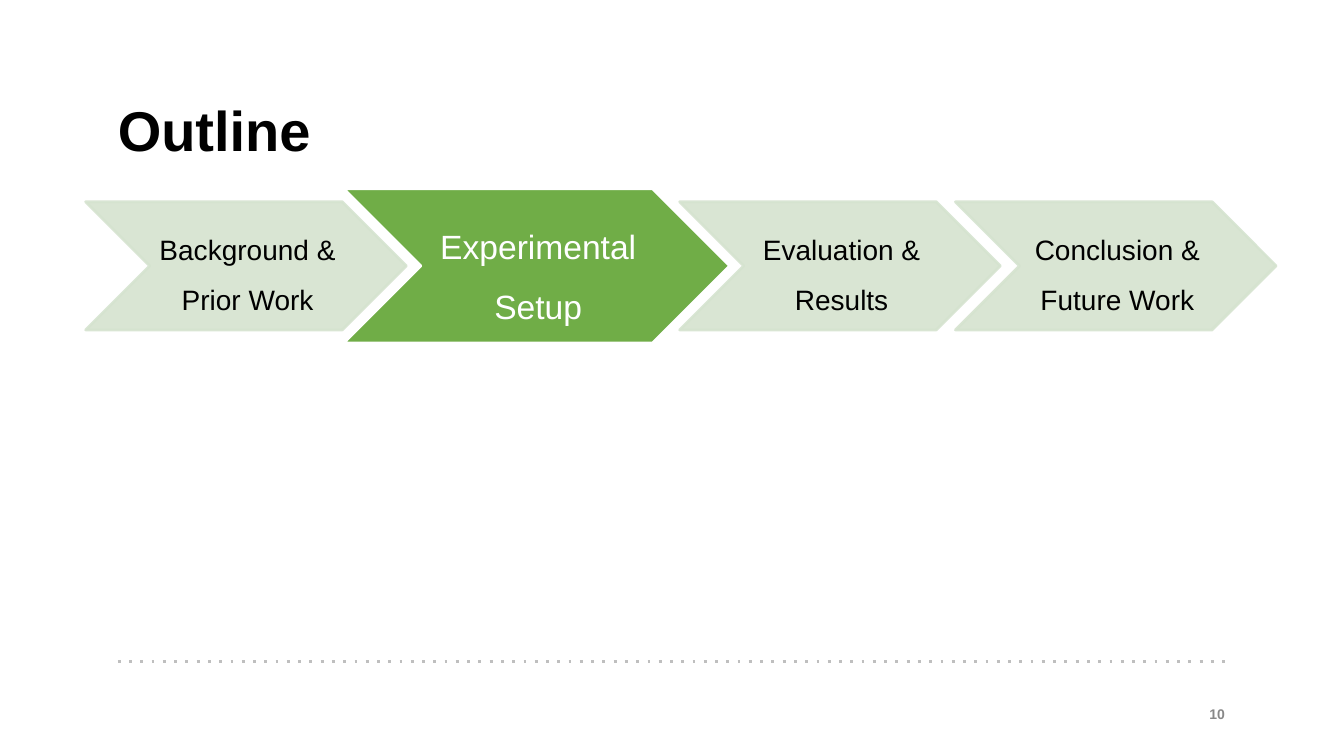
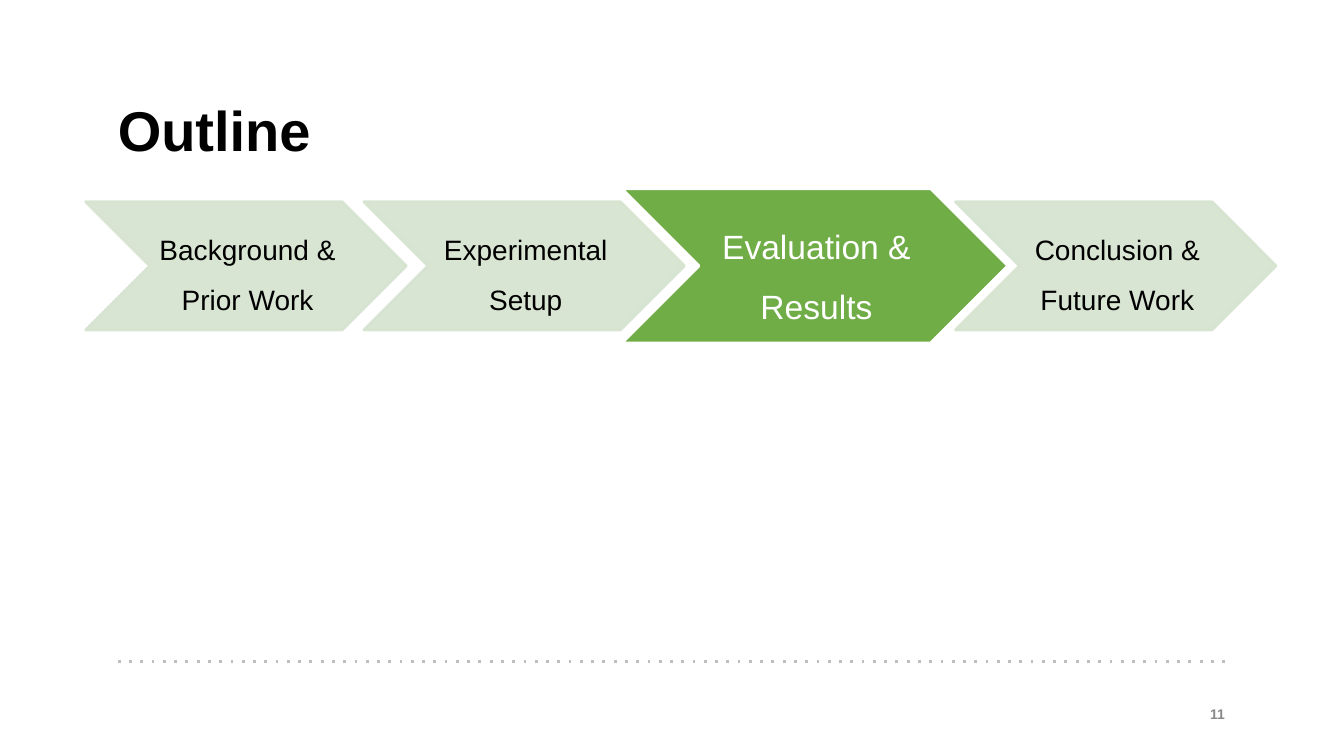
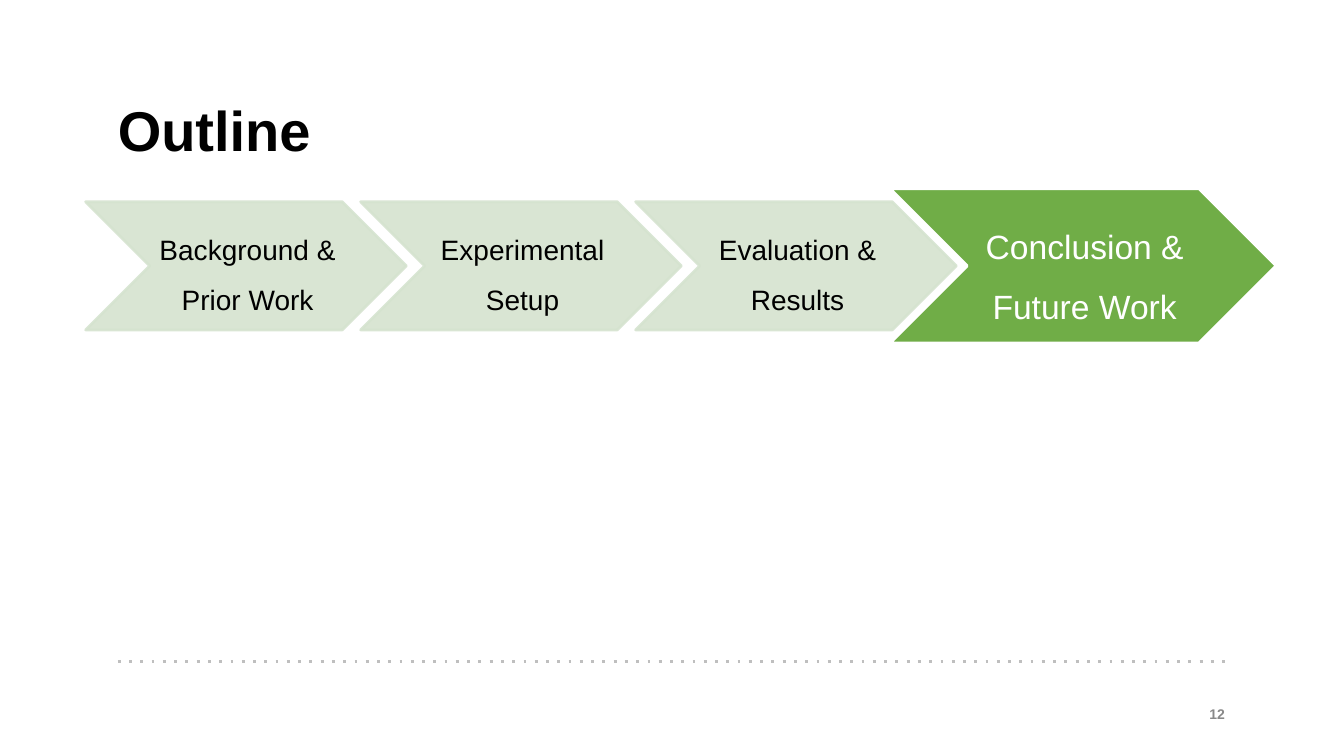
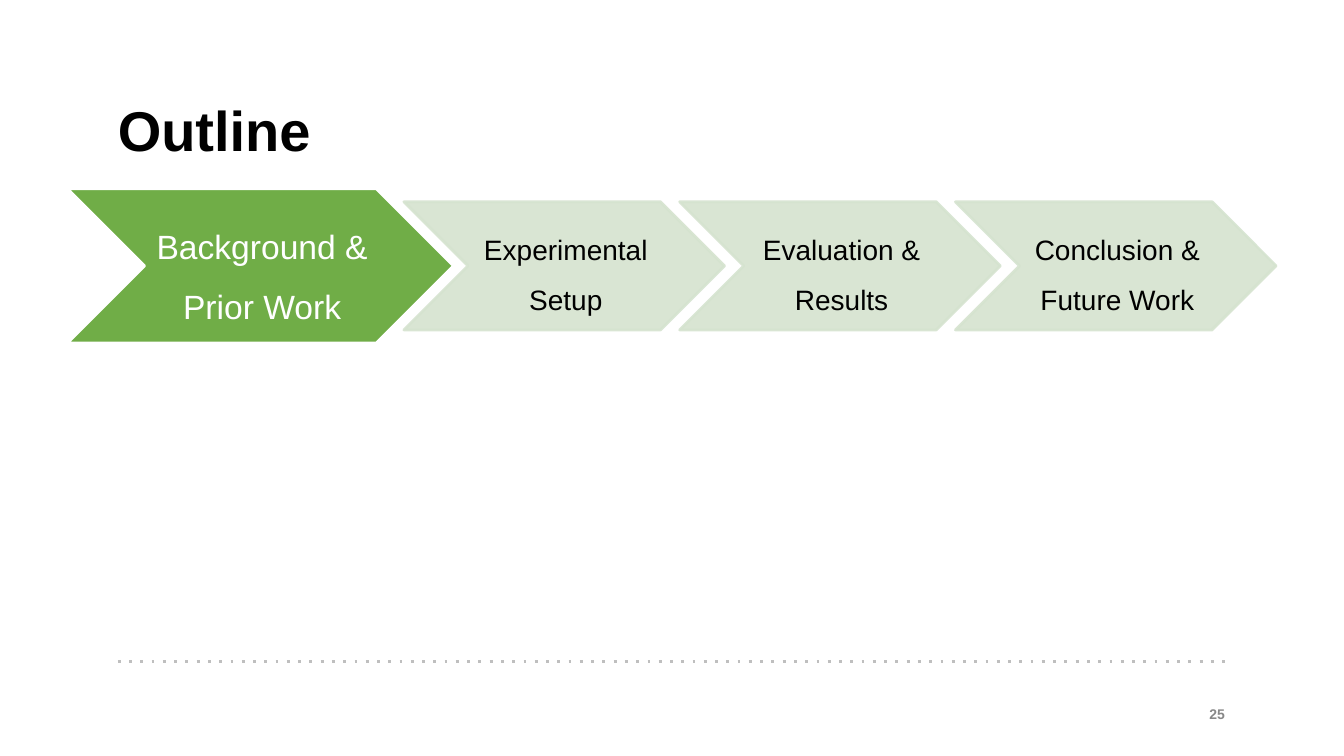
from dataclasses import dataclass

from pptx import Presentation
from pptx.dml.color import RGBColor as RGB
from pptx.enum.shapes import MSO_CONNECTOR as CONNECTOR, MSO_SHAPE as SHAPE
from pptx.enum.text import MSO_ANCHOR as ANCHOR, PP_ALIGN as ALIGN
from pptx.oxml.ns import qn
from pptx.util import Cm, Pt


@dataclass(frozen=True)
class Theme:
    font: str = "Arial"
    black: RGB = RGB(0x00, 0x00, 0x00)
    white: RGB = RGB(0xFF, 0xFF, 0xFF)
    green: RGB = RGB(0x70, 0xAD, 0x47)
    pale: RGB = RGB(0xD5, 0xE3, 0xCF)
    rule: RGB = RGB(0xBF, 0xBF, 0xBF)
    grey: RGB = RGB(0x88, 0x88, 0x88)
    title_size: int = 40
    active_size: int = 24
    step_size: int = 20
    number_size: int = 10
    line_width: int = 2
    opacity: int = 90


T = Theme()

STEPS = ("Background & Prior Work", "Experimental Setup",
         "Evaluation & Results", "Conclusion & Future Work")

# Page number, active step, left of the active step, pitch of the others
PAGES = ((10, 1, 8.66, 6.95), (11, 2, 15.67, 7.01),
         (12, 3, 22.43, 6.93), (25, 0, 1.7, 6.95))

MARGIN, CONTENT_WIDTH = 2.97, 27.94
FIRST_LEFT, LAST_LEFT = 2.16, 24.08
STEP_WIDTH, STEP_HEIGHT = 8.08, 3.23
ACTIVE_WIDTH, ACTIVE_HEIGHT = 9.73, 3.89
STEP_MIDDLE = 6.7


def write(tf, text, size, color, bold=False, align=ALIGN.LEFT, spacing=1.0,
          anchor=ANCHOR.TOP, insets=(0, 0, 0, 0)):
    tf.word_wrap = True
    tf.vertical_anchor = anchor
    (tf.margin_left, tf.margin_top,
     tf.margin_right, tf.margin_bottom) = map(Cm, insets)
    p = tf.paragraphs[0]
    p.alignment = align
    p.line_spacing = spacing
    r = p.add_run()
    r.text = text
    r.font.name = T.font
    r.font.size = Pt(size)
    r.font.bold = bold
    r.font.color.rgb = color


def add_text(s, box, text, size, color, **style):
    sp = s.shapes.add_textbox(*map(Cm, box))
    write(sp.text_frame, text, size, color, **style)


def add_rule(s, left, top, width):
    sp = s.shapes.add_connector(CONNECTOR.STRAIGHT, Cm(left), Cm(top),
                                Cm(left + width), Cm(top))
    sp.line.color.rgb = T.rule
    sp.line.width = Pt(T.line_width)
    ln = sp.line._get_or_add_ln()
    dash = ln.makeelement(qn("a:prstDash"), {"val": "dot"})
    ln.append(dash)
    pr = sp._element.spPr
    pr.append(pr.makeelement(qn("a:effectLst"), {}))


def set_opacity(sp, percent):
    for color in sp._element.spPr.iter(qn("a:srgbClr")):
        alpha = color.makeelement(qn("a:alpha"), {"val": str(percent * 1000)})
        color.append(alpha)


def add_chevron(group, left, text, active=False):
    width, height = ((ACTIVE_WIDTH, ACTIVE_HEIGHT) if active
                     else (STEP_WIDTH, STEP_HEIGHT))
    sp = group.shapes.add_shape(SHAPE.CHEVRON, Cm(left),
                                Cm(STEP_MIDDLE - height / 2),
                                Cm(width), Cm(height))
    sp.shadow.inherit = False
    sp.fill.solid()
    sp.fill.fore_color.rgb = T.green if active else T.pale
    sp.line.color.rgb = T.white if active else T.pale
    sp.line.width = Pt(T.line_width)
    if not active:
        set_opacity(sp, T.opacity)
    write(sp.text_frame, text, T.active_size if active else T.step_size,
          T.white if active else T.black, align=ALIGN.CENTER, spacing=1.5,
          anchor=ANCHOR.MIDDLE, insets=(0.08, 0.04, 0, 0.04))


def add_steps(s, active, active_left, pitch):
    group = s.shapes.add_group_shape()
    add_chevron(group, active_left, STEPS[active], active=True)
    last = len(STEPS) - 1
    for i, text in enumerate(STEPS):
        if i < active:
            add_chevron(group, FIRST_LEFT + i * pitch, text)
        elif i > active:
            add_chevron(group, LAST_LEFT - (last - i) * pitch, text)


def add_frame(s, title, number):
    add_rule(s, MARGIN, 16.66, CONTENT_WIDTH)
    add_text(s, (MARGIN, 2.87, CONTENT_WIDTH, 1.45), title, T.title_size,
             T.black, bold=True, spacing=0.7)
    add_text(s, (23.5, 17.48, 7.62, 1.02), str(number), T.number_size,
             T.grey, bold=True, align=ALIGN.RIGHT, anchor=ANCHOR.MIDDLE,
             insets=(0.25, 0.13, 0.25, 0.13))


def main():
    prs = Presentation()
    prs.slide_width, prs.slide_height = Cm(33.87), Cm(19.05)
    for number, active, active_left, pitch in PAGES:
        s = prs.slides.add_slide(prs.slide_layouts[6])
        add_frame(s, "Outline", number)
        add_steps(s, active, active_left, pitch)
    prs.save("out.pptx")


if __name__ == "__main__":
    main()
